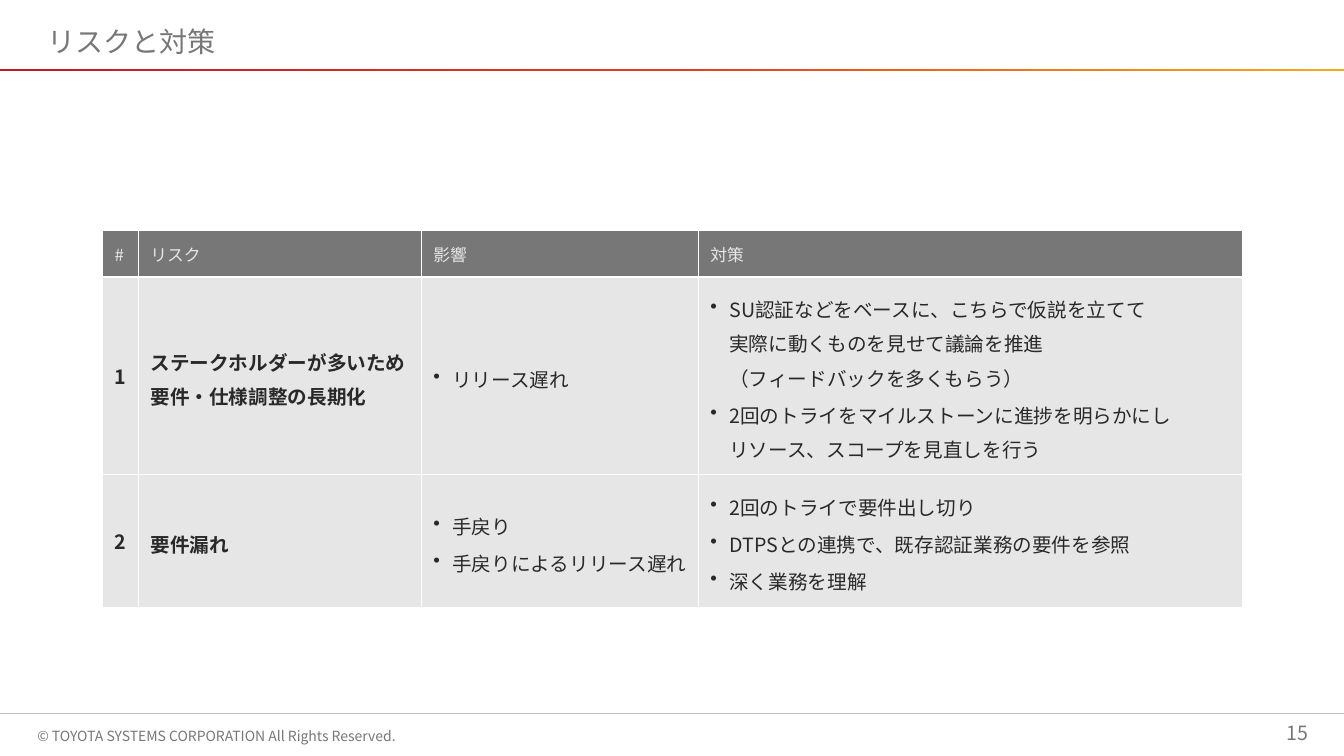
from copy import deepcopy
from dataclasses import dataclass

from lxml.etree import SubElement
from pptx import Presentation
from pptx.dml.color import RGBColor
from pptx.enum.shapes import MSO_CONNECTOR as Connector, MSO_SHAPE as Shape
from pptx.enum.text import MSO_ANCHOR as Anchor, MSO_AUTO_SIZE as AutoSize, PP_ALIGN as Align
from pptx.oxml import parse_xml
from pptx.oxml.ns import nsdecls, qn
from pptx.util import Cm, Pt

FONT = "Noto Sans CJK JP"
GRAY, PALE, DARK, RULE, WHITE = "777777", "E7E6E6", "292929", "BFBFBF", "FFFFFF"
WIDTH, HEIGHT = 33.87, 19.05
COLUMN_WIDTHS = (0.9, 7.13, 6.98, 13.72)
ROW_HEIGHTS = (1.18, 4.98, 3.35)
HEADINGS = ("#", "リスク", "影響", "対策")


@dataclass
class Risk:
    name: str
    impacts: list[str]
    measures: list[str]


@dataclass
class Label:
    text: str
    left: float
    top: float
    width: float
    height: float
    size: float
    align: Align
    anchor: Anchor
    wrap: bool


RISKS = [
    Risk("ステークホルダーが多いため\v要件・仕様調整の長期化",
         ["リリース遅れ"],
         ["SU認証などをベースに、こちらで仮説を立てて\v実際に動くものを見せて議論を推進"
          "\v（フィードバックを多くもらう）",
          "2回のトライをマイルストーンに進捗を明らかにし\vリソース、スコープを見直しを行う"]),
    Risk("要件漏れ",
         ["手戻り", "手戻りによるリリース遅れ"],
         ["2回のトライで要件出し切り",
          "DTPSとの連携で、既存認証業務の要件を参照",
          "深く業務を理解"]),
]
FOOTER = [
    Label("© TOYOTA SYSTEMS CORPORATION All Rights Reserved.",
          0.94, 18.21, 10.13, 0.69, 10, Align.LEFT, Anchor.TOP, False),
    Label("15", 25.35, 18.03, 7.62, 0.86, 14, Align.RIGHT, Anchor.BOTTOM, True),
]


def color(code: str) -> RGBColor:
    return RGBColor.from_string(code)


def write(frame, lines: list[str], *, size: float, ink: str = GRAY, bold: bool = False,
          align: Align = Align.LEFT, spacing: float = 1.0, bullet: bool = False) -> None:
    """Fill a text frame with one paragraph per line; \\v breaks within one."""
    for index, line in enumerate(lines):
        para = frame.add_paragraph() if index else frame.paragraphs[0]
        para.text = line
        if bullet:
            props = para._p.get_or_add_pPr()
            props.set("marL", str(Cm(0.48)))
            props.set("indent", str(-Cm(0.48)))
            SubElement(props, qn("a:buChar"), char="•")
        para.alignment = align
        para.line_spacing = spacing
        if index:
            para.space_before = Pt(2)
        for span in para.runs:
            span.font.size = Pt(size)
            span.font.bold = bold
            span.font.color.rgb = color(ink)
            span.font.name = FONT
            SubElement(span._r.get_or_add_rPr(), qn("a:ea"), typeface=FONT)
        for line_break in para._p.findall(qn("a:br")):
            line_break.append(deepcopy(para.runs[0]._r.rPr))


def add_title(page, text: str) -> None:
    title = page.shapes.title
    title.left, title.top, title.width, title.height = Cm(0.94), Cm(0.58), Cm(32), Cm(1.04)
    frame = title.text_frame
    frame.auto_size = AutoSize.NONE
    frame.vertical_anchor = Anchor.MIDDLE
    write(frame, [text], size=20, spacing=0.9)


def add_gradient_bar(page) -> None:
    bar = page.shapes.add_shape(Shape.RECTANGLE, 0, Cm(1.75), Cm(WIDTH), Cm(0.05))
    bar.shadow.inherit = False
    bar.line.fill.background()
    bar.fill.gradient()
    bar.fill.gradient_angle = 0
    stops = bar._element.spPr.find(qn("a:gradFill")).find(qn("a:gsLst"))
    stops.append(deepcopy(stops[-1]))
    palette = ((0, "C81528"), (0.5, "E83820"), (1, "F6AC19"))
    for stop, (position, code) in zip(bar.fill.gradient_stops, palette):
        stop.position = position
        stop.color.rgb = color(code)


def add_footer(page) -> None:
    rule = page.shapes.add_connector(Connector.STRAIGHT, 0, Cm(17.98), Cm(WIDTH), Cm(17.98))
    rule.line.color.rgb = color(RULE)
    rule.line.width = Pt(1)
    SubElement(rule._element.spPr, qn("a:effectLst"))
    for label in FOOTER:
        box = page.shapes.add_textbox(Cm(label.left), Cm(label.top),
                                      Cm(label.width), Cm(label.height))
        frame = box.text_frame
        frame.word_wrap = label.wrap
        frame.vertical_anchor = label.anchor
        frame.margin_left = frame.margin_right = 0
        write(frame, [label.text], size=label.size, align=label.align)


def style_cell(cell, fill: str) -> None:
    cell.vertical_anchor = Anchor.MIDDLE
    cell.margin_left = cell.margin_top = cell.margin_bottom = Cm(0.3)
    cell.margin_right = Cm(0.25)
    cell.fill.solid()
    cell.fill.fore_color.rgb = color(fill)
    props = cell._tc.get_or_add_tcPr()
    for index, side in enumerate("LRTB"):
        props.insert(index, parse_xml(
            f'<a:ln{side} {nsdecls("a")} w="{Pt(1)}"><a:solidFill>'
            f'<a:srgbClr val="{WHITE}"/></a:solidFill></a:ln{side}>'))


def add_risk_table(page) -> None:
    table = page.shapes.add_table(len(ROW_HEIGHTS), len(COLUMN_WIDTHS), Cm(2.59), Cm(5.8),
                                  Cm(sum(COLUMN_WIDTHS)), Cm(sum(ROW_HEIGHTS))).table
    table.first_row = table.horz_banding = False
    for column, width in zip(table.columns, COLUMN_WIDTHS):
        column.width = Cm(width)
    for row, height in zip(table.rows, ROW_HEIGHTS):
        row.height = Cm(height)

    for cell, heading in zip(table.rows[0].cells, HEADINGS):
        style_cell(cell, GRAY)
        write(cell.text_frame, [heading], size=12, ink=PALE)
    for number, risk in enumerate(RISKS, start=1):
        contents = ([str(number)], [risk.name], risk.impacts, risk.measures)
        for column, (cell, lines) in enumerate(zip(table.rows[number].cells, contents)):
            style_cell(cell, PALE)
            write(cell.text_frame, lines, size=14, ink=DARK, bold=column < 2,
                  spacing=1.2 if column else 1.0, bullet=column >= 2)


def main() -> None:
    deck = Presentation()
    deck.slide_width, deck.slide_height = Cm(WIDTH), Cm(HEIGHT)
    page = deck.slides.add_slide(deck.slide_layouts[5])
    add_gradient_bar(page)
    add_footer(page)
    add_title(page, "リスクと対策")
    add_risk_table(page)
    deck.save("out.pptx")


if __name__ == "__main__":
    main()
